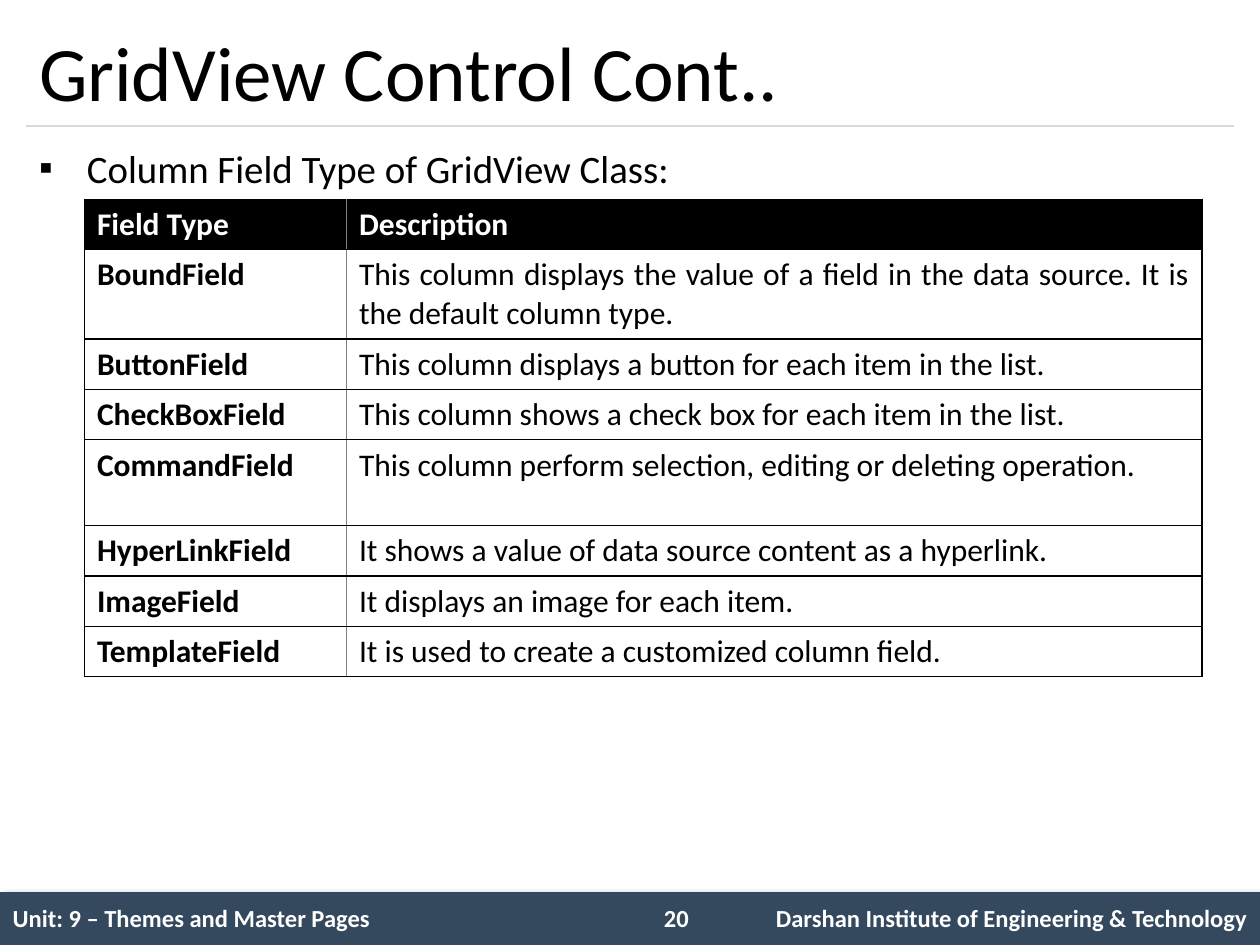
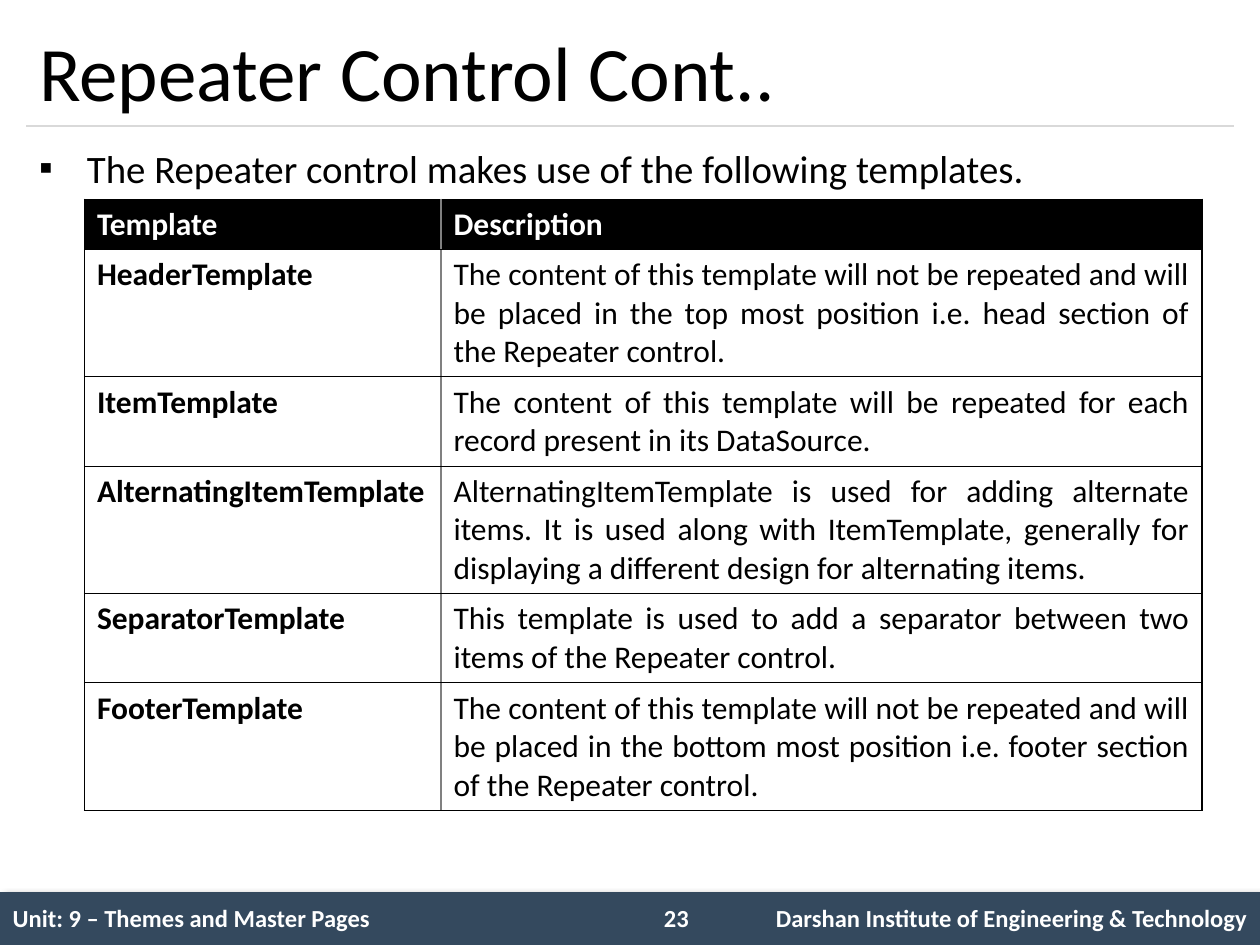
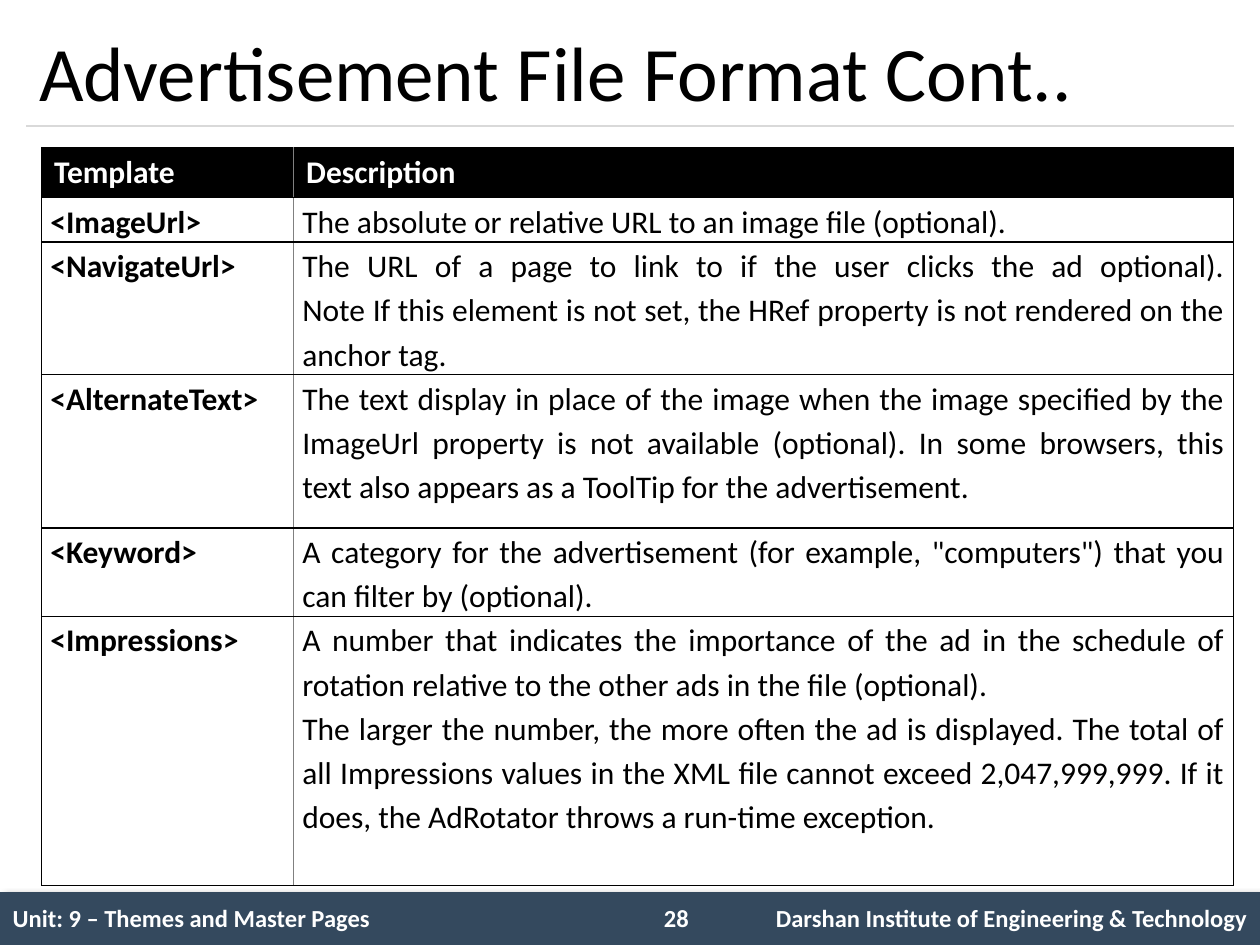
from lxml import etree
from pptx import Presentation
from pptx.dml.color import RGBColor
from pptx.enum.shapes import MSO_CONNECTOR, MSO_SHAPE
from pptx.enum.text import MSO_ANCHOR, MSO_AUTO_SIZE, PP_ALIGN
from pptx.oxml.ns import qn
from pptx.util import Inches, Pt

RECT = MSO_SHAPE.RECTANGLE
STRAIGHT = MSO_CONNECTOR.STRAIGHT
LEFT, RIGHT, JUSTIFY = PP_ALIGN.LEFT, PP_ALIGN.RIGHT, PP_ALIGN.JUSTIFY
TOP, MIDDLE = MSO_ANCHOR.TOP, MSO_ANCHOR.MIDDLE
NO_AUTOFIT = MSO_AUTO_SIZE.NONE

FONT = "Calibri"
COLORS = {"ink": "000000", "paper": "FFFFFF", "band": "34495E",
          "rule": "D9D9D9", "divider": "808080"}
PLAIN_TABLE = "{2D5ABB26-0587-4C30-8999-92F81FD0307C}"
TITLE_AND_BODY, TITLE_ONLY = 1, 5
UNIT = "Unit: 9 – Themes and Master Pages"
INSTITUTE = "Darshan Institute of Engineering & Technology"

COLUMN_FIELDS = [
    ("Field Type", "Description"),
    ("BoundField", "This column displays the value of a field in the data source. "
                   "It is the default column type."),
    ("ButtonField", "This column displays a button for each item in the list."),
    ("CheckBoxField", "This column shows a check box for each item in the list."),
    ("CommandField", "This column perform selection, editing or deleting operation."),
    ("HyperLinkField", "It shows a value of data source content as a hyperlink."),
    ("ImageField", "It displays an image for each item."),
    ("TemplateField", "It is used to create a customized column field."),
]
REPEATER_TEMPLATES = [
    ("Template", "Description"),
    ("HeaderTemplate", "The content of this template will not be repeated and will be "
                       "placed in the top most position i.e. head section of the "
                       "Repeater control."),
    ("ItemTemplate", "The content of this template will be repeated for each record "
                     "present in its DataSource."),
    ("AlternatingItemTemplate", "AlternatingItemTemplate is used for adding alternate "
                                "items. It is used along with ItemTemplate, generally "
                                "for displaying a different design for alternating items."),
    ("SeparatorTemplate", "This template is used to add a separator between two items "
                          "of the Repeater control."),
    ("FooterTemplate", "The content of this template will not be repeated and will be "
                       "placed in the bottom most position i.e. footer section of the "
                       "Repeater control."),
]
AD_ELEMENTS = [
    ("Template", "Description"),
    ("<ImageUrl>", "The absolute or relative URL to an image file (optional)."),
    ("<NavigateUrl>", "The URL of a page to link to if the user clicks the ad optional).\v"
                      "Note If this element is not set, the HRef property is not "
                      "rendered on the anchor tag."),
    ("<AlternateText>", "The text display in place of the image when the image specified "
                        "by the ImageUrl property is not available (optional). In some "
                        "browsers, this text also appears as a ToolTip for the "
                        "advertisement."),
    ("<Keyword>", "A category for the advertisement (for example, \"computers\") that "
                  "you can filter by (optional)."),
    ("<Impressions>", "A number that indicates the importance of the ad in the schedule "
                      "of rotation relative to the other ads in the file (optional).\n"
                      "The larger the number, the more often the ad is displayed. The "
                      "total of all Impressions values in the XML file cannot exceed "
                      "2,047,999,999. If it does, the AdRotator throws a run-time "
                      "exception."),
]


def rgb(name):
    return RGBColor.from_string(COLORS[name])


def box(left, top, width, height):
    return Inches(left), Inches(top), Inches(width), Inches(height)


def add_color(parent, name, opacity=None):
    color = etree.SubElement(parent, qn("a:srgbClr"), val=COLORS[name])
    if opacity:
        etree.SubElement(color, qn("a:alpha"), val=str(opacity * 1000))


def set_border(cell, side, color, width):
    """Draw one side of a cell: L, R, T or B, in that order and before the fill."""
    ln = etree.SubElement(cell._tc.get_or_add_tcPr(), qn(f"a:ln{side}"), w=str(Pt(width)))
    add_color(etree.SubElement(ln, qn("a:solidFill")), color)


class Deck:
    def __init__(self):
        self.prs = Presentation()
        self.prs.slide_width, self.prs.slide_height = Inches(10), Inches(7.5)
        self.slide = None

    def set_text(self, tf, text, size, color="ink", bold=False, align=LEFT, spacing=None):
        tf.text = text
        for p in tf.paragraphs:
            p.alignment = align
            if spacing:
                p.line_spacing = spacing
            for r in p.runs:
                r.font.name, r.font.size, r.font.bold = FONT, Pt(size), bold
                r.font.color.rgb = rgb(color)

    def start(self, title, number, layout=TITLE_AND_BODY):
        self.slide = self.prs.slides.add_slide(self.prs.slide_layouts[layout])
        self.band()
        self.rule()
        self.footer(number)
        sp = self.slide.shapes.title
        sp.left, sp.top, sp.width, sp.height = box(0.21, 0.12, 9.58, 0.88)
        tf = sp.text_frame
        self.set_text(tf, title, 44)
        tf.vertical_anchor, tf.auto_size = MIDDLE, NO_AUTOFIT

    def band(self):
        sp = self.slide.shapes.add_shape(RECT, *box(0, 7.08, 10, 0.42))
        sp.fill.solid()
        sp.fill.fore_color.rgb = rgb("band")
        sp.line.fill.background()
        sp.shadow.inherit = False
        effects = sp._element.spPr.find(qn("a:effectLst"))
        shadow = etree.SubElement(effects, qn("a:outerShdw"), blurRad=str(Pt(4)),
                                  dist=str(Pt(3)), dir=str(45 * 60000))
        add_color(shadow, "ink", 40)

    def rule(self):
        line = self.slide.shapes.add_connector(
            STRAIGHT, Inches(0.21), Inches(1), Inches(9.79), Inches(1))
        line.line.color.rgb, line.line.width = rgb("rule"), Pt(0.75)
        etree.SubElement(line._element.spPr, qn("a:effectLst"))

    def footer(self, number):
        table = self.grid(0, 7.08, [5.08, 0.67, 4.25], [0.43])
        for col, text, align in ((0, UNIT, LEFT), (2, INSTITUTE, RIGHT)):
            cell = table.cell(0, col)
            self.set_text(cell.text_frame, text, 14, "paper", True, align)
            cell.vertical_anchor = MIDDLE
        sp = self.slide.shapes.add_textbox(*box(5.17, 7.12, 0.58, 0.34))
        sp.text_frame.word_wrap = True
        self.set_text(sp.text_frame, str(number), 14, "paper", True)

    def bullet(self, text):
        sp = self.slide.placeholders[1]
        sp.left, sp.top, sp.width, sp.height = box(0.21, 1.08, 9.58, 0.5)
        tf = sp.text_frame
        self.set_text(tf, text, 22.2, align=JUSTIFY, spacing=1.04)
        tf.vertical_anchor, tf.auto_size = TOP, NO_AUTOFIT
        p = tf.paragraphs[0]
        p.space_before = Pt(0)
        pPr = p._p.get_or_add_pPr()
        pPr.set("marL", str(Inches(0.38)))
        pPr.set("indent", str(-Inches(0.38)))
        etree.SubElement(pPr, qn("a:buFont"), typeface="Arial")
        etree.SubElement(pPr, qn("a:buChar"), char="▪")

    def grid(self, left, top, widths, heights):
        """Add a table without style, fills or borders."""
        frame = self.slide.shapes.add_table(
            len(heights), len(widths), *box(left, top, sum(widths), sum(heights)))
        table = frame.table
        table._tbl.tblPr.find(qn("a:tableStyleId")).text = PLAIN_TABLE
        table.first_row = table.horz_banding = False
        for column, width in zip(table.columns, widths):
            column.width = Inches(width)
        for row, height in zip(table.rows, heights):
            row.height = Inches(height)
        return table

    def definitions(self, rows, left, top, widths, heights, tight=False):
        """Add a two-column table of terms; tight cells have small margins and wide lines."""
        table = self.grid(left, top, widths, heights)
        for i, row in enumerate(rows):
            for j, text in enumerate(row):
                cell, header, term = table.cell(i, j), i == 0, j == 0
                compact = tight and not header
                self.set_text(cell.text_frame, text, 18, "paper" if header else "ink",
                              header or term, LEFT if header or term else JUSTIFY,
                              1.15 if compact else None)
                if compact:
                    cell.margin_left = cell.margin_right = Inches(0.07)
                    cell.margin_top = cell.margin_bottom = 0
                outer, inner = ("ink", 0.75), ("divider", 1)
                set_border(cell, "L", *(outer if term else inner))
                set_border(cell, "R", *(inner if term else outer))
                set_border(cell, "T", *outer)
                set_border(cell, "B", *outer)
                if header:
                    cell.fill.solid()
                    cell.fill.fore_color.rgb = rgb("ink")
                else:
                    cell.fill.background()


def main():
    deck = Deck()

    deck.start("GridView Control Cont..", 20)
    deck.bullet("Column Field Type of GridView Class:")
    deck.definitions(COLUMN_FIELDS, 0.67, 1.58, [2.08, 6.79],
                     [0.4, 0.71, 0.4, 0.4, 0.68, 0.4, 0.4, 0.4])

    deck.start("Repeater Control Cont..", 23)
    deck.bullet("The Repeater control makes use of the following templates.")
    deck.definitions(REPEATER_TEMPLATES, 0.67, 1.58, [2.83, 6.04],
                     [0.4, 1.01, 0.71, 1.01, 0.71, 1.01])

    deck.start("Advertisement File Format Cont..", 28, TITLE_ONLY)
    deck.definitions(AD_ELEMENTS, 0.33, 1.17, [2, 7.46],
                     [0.4, 0.35, 1.05, 1.22, 0.7, 2.14], tight=True)

    deck.prs.save("out.pptx")


if __name__ == "__main__":
    main()
